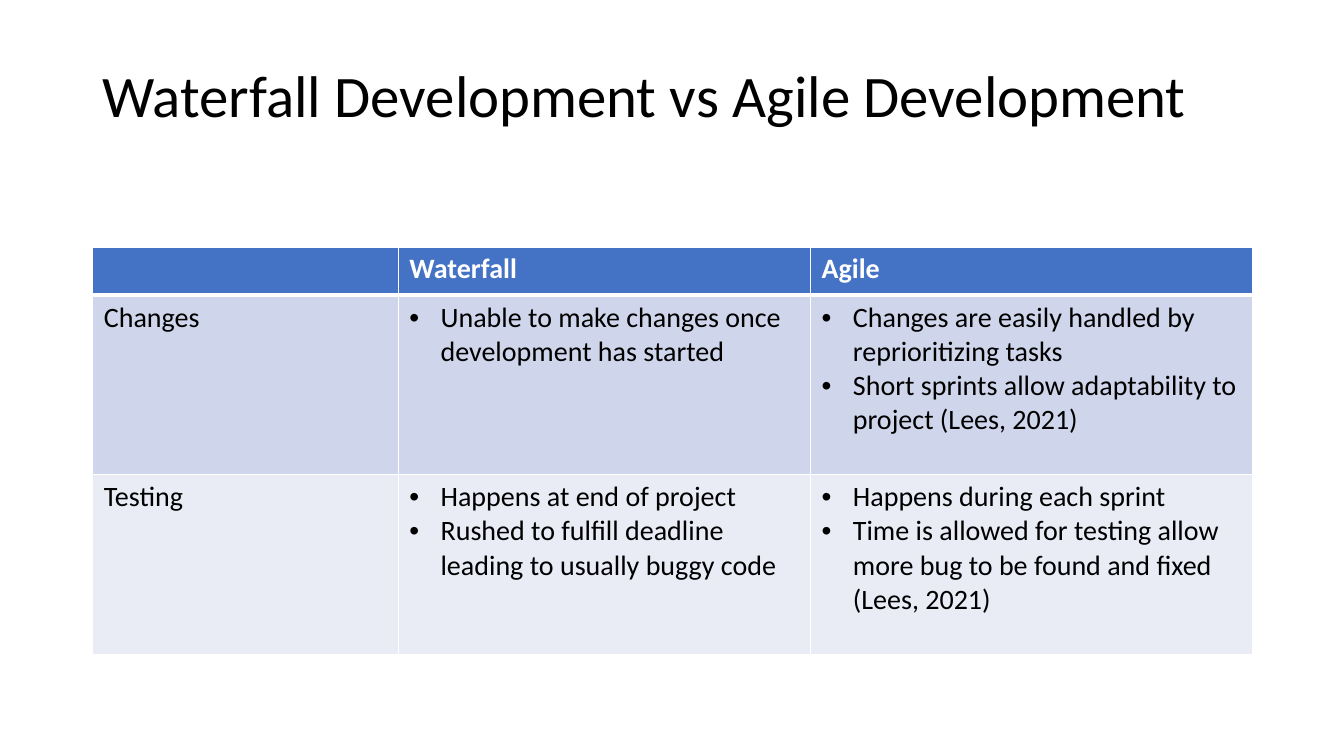
from dataclasses import dataclass

from lxml.etree import SubElement
from pptx import Presentation
from pptx.dml.color import RGBColor
from pptx.enum.text import MSO_ANCHOR
from pptx.oxml.ns import qn
from pptx.table import _Cell
from pptx.text.text import TextFrame
from pptx.util import Inches, Pt

BLACK = RGBColor(0x00, 0x00, 0x00)
WHITE = RGBColor(0xFF, 0xFF, 0xFF)
BLUE = RGBColor(0x44, 0x72, 0xC4)
MIST = RGBColor(0xCF, 0xD5, 0xEA)
PALE = RGBColor(0xE9, 0xEB, 0xF5)

FONT = "Calibri"
LEFT, WIDTH = Inches(0.92), Inches(11.5)
INDENT = Inches(0.31)
COLS = (3.03, 4.09, 4.38)


@dataclass
class Row:
    """One table row: its look and the paragraphs of each cell."""
    height: float
    fill: RGBColor
    cells: list[list[str]]
    head: bool = False
    top: float = 1
    bottom: float = 1


ROWS = [
    Row(0.48, BLUE, [[], ["Waterfall"], ["Agile"]], head=True, bottom=3),
    Row(1.78, MIST, [
        ["Changes"],
        ["Unable to make changes once development has started"],
        ["Changes are easily handled by reprioritizing tasks",
         "Short sprints allow adaptability to project (Lees, 2021)"],
    ], top=3),
    Row(1.78, PALE, [
        ["Testing"],
        ["Happens at end of project",
         "Rushed to fulfill deadline leading to usually buggy code"],
        ["Happens during each sprint",
         "Time is allowed for testing allow more bug to be found "
         "and fixed (Lees, 2021)"],
    ]),
]


def write(frame: TextFrame, lines: list[str], *, size: float = 20,
          color: RGBColor = BLACK, bold: bool = False, bullet: bool = False,
          spacing: float = 1, after: float = 0) -> None:
    """Fill a text frame with one formatted paragraph per line."""
    frame.word_wrap = True
    for i, line in enumerate(lines):
        para = frame.add_paragraph() if i else frame.paragraphs[0]
        para.line_spacing, para.space_after = spacing, Pt(after)
        run = para.add_run()
        run.text = line
        font = run.font
        font.name, font.size, font.bold = FONT, Pt(size), bold
        font.color.rgb = color
        if bullet:
            props = para._p.get_or_add_pPr()
            props.set("marL", str(INDENT))
            props.set("indent", str(-INDENT))
            SubElement(props, qn("a:buFont"), typeface="Arial")
            SubElement(props, qn("a:buChar"), char="•")


def edge(cell: _Cell, top: float, bottom: float) -> None:
    """Draw white borders around a cell, before its fill is set."""
    props = cell._tc.get_or_add_tcPr()
    for side, width in (("L", 1), ("R", 1), ("T", top), ("B", bottom)):
        line = SubElement(props, qn(f"a:ln{side}"), w=str(Pt(width)))
        fill = SubElement(line, qn("a:solidFill"))
        SubElement(fill, qn("a:srgbClr"), val=str(WHITE))


def main() -> None:
    """Build the slide and save it."""
    deck = Presentation()
    deck.slide_width, deck.slide_height = Inches(13.33), Inches(7.5)
    slide = deck.slides.add_slide(deck.slide_layouts[6])

    title = slide.shapes.add_textbox(LEFT, Inches(0.32), WIDTH, Inches(1.02))
    title.text_frame.vertical_anchor = MSO_ANCHOR.BOTTOM
    write(title.text_frame, ["Waterfall Development vs Agile Development"],
          size=42, spacing=0.9, after=6)

    height = Inches(sum(row.height for row in ROWS))
    table = slide.shapes.add_table(len(ROWS), len(COLS), LEFT, Inches(2.45),
                                   WIDTH, height).table
    for col, width in zip(table.columns, COLS):
        col.width = Inches(width)
    for r, row in enumerate(ROWS):
        table.rows[r].height = Inches(row.height)
        for c, lines in enumerate(row.cells):
            cell = table.cell(r, c)
            cell.margin_left = cell.margin_right = Inches(0.11)
            cell.margin_top = cell.margin_bottom = Inches(0.05)
            edge(cell, row.top, row.bottom)
            cell.fill.solid()
            cell.fill.fore_color.rgb = row.fill
            write(cell.text_frame, lines, bold=row.head,
                  color=WHITE if row.head else BLACK,
                  bullet=c > 0 and not row.head)

    deck.save("out.pptx")


main()
